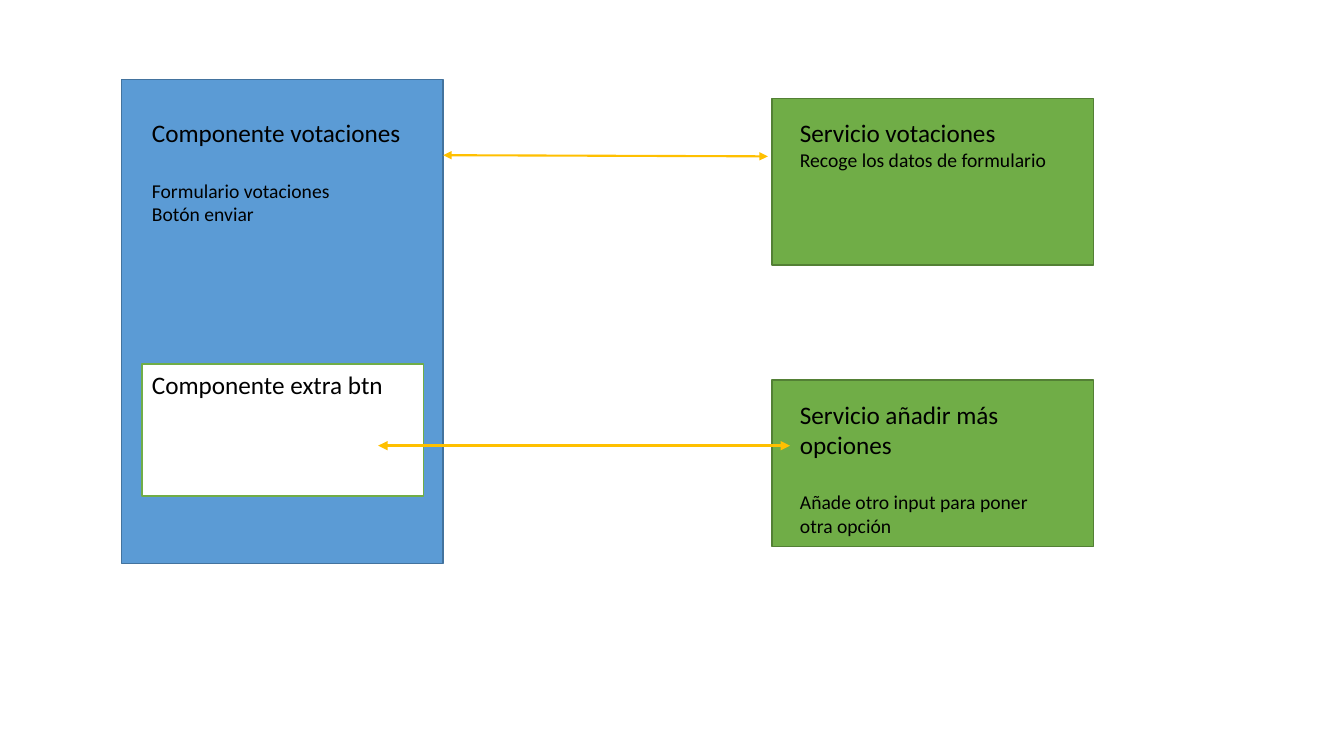
from dataclasses import dataclass

from lxml.etree import SubElement
from pptx import Presentation
from pptx.dml.color import RGBColor
from pptx.enum.shapes import MSO_CONNECTOR as Connector, MSO_SHAPE as Preset
from pptx.enum.text import MSO_ANCHOR as Anchor, PP_ALIGN as Align
from pptx.oxml.ns import qn
from pptx.slide import Slide
from pptx.text.text import TextFrame
from pptx.util import Cm, Pt

COLORS = {
    "blue": "5B9BD5",
    "blue_edge": "43739E",
    "green": "70AD47",
    "green_edge": "538035",
    "white": "FFFFFF",
    "black": "000000",
    "gold": "FFC000",
}
FONT = "Calibri"
TITLE_SIZE, DETAIL_SIZE = 18, 14
DETAIL_GAP = 22
COLUMN_WIDTH, TEXT_WIDTH = 8.1, 7.09
LEFT_TEXT, RIGHT_BOX, RIGHT_TEXT = 3.58, 19.46, 19.91
SERVICE_HEIGHT = 4.19


@dataclass(frozen=True)
class Area:
    left: float
    top: float
    width: float
    height: float

    def lengths(self) -> tuple[Cm, Cm, Cm, Cm]:
        return Cm(self.left), Cm(self.top), Cm(self.width), Cm(self.height)


@dataclass(frozen=True)
class Label:
    title: str
    details: tuple[str, ...] = ()
    gap: float = 0


@dataclass(frozen=True)
class Block:
    area: Area
    fill: str
    edge: str
    label: Label
    label_area: Area | None = None


@dataclass(frozen=True)
class Arrow:
    start: tuple[float, float]
    end: tuple[float, float]
    weight: float


BLOCKS = (
    Block(
        Area(3.07, 2.01, COLUMN_WIDTH, 12.19), "blue", "blue_edge",
        Label("Componente votaciones", ("Formulario votaciones", "Botón enviar"), DETAIL_GAP),
        Area(LEFT_TEXT, 2.84, TEXT_WIDTH, 3),
    ),
    Block(
        Area(LEFT_TEXT, 9.17, TEXT_WIDTH, 3.33), "white", "green",
        Label("Componente extra btn"),
    ),
    Block(
        Area(RIGHT_BOX, 2.49, COLUMN_WIDTH, SERVICE_HEIGHT), "green", "green_edge",
        Label("Servicio votaciones", ("Recoge los datos de formulario",)),
        Area(RIGHT_TEXT, 2.84, TEXT_WIDTH, 3.18),
    ),
    Block(
        Area(RIGHT_BOX, 9.58, COLUMN_WIDTH, SERVICE_HEIGHT), "green", "green_edge",
        Label(
            "Servicio añadir más opciones",
            ("Añade otro input para poner otra opción",),
            DETAIL_GAP,
        ),
        Area(RIGHT_TEXT, 9.93, TEXT_WIDTH, 5.31),
    ),
)
ARROWS = (
    Arrow((11.17, 3.91), (19.35, 3.94), 1.5),
    Arrow((9.53, 11.23), (RIGHT_TEXT, 11.23), 2.25),
)


def color(name: str) -> RGBColor:
    return RGBColor.from_string(COLORS[name])


def write_label(frame: TextFrame, label: Label) -> None:
    frame.word_wrap = True
    frame.vertical_anchor = Anchor.TOP
    for index, text in enumerate((label.title, *label.details)):
        para = frame.paragraphs[0] if index == 0 else frame.add_paragraph()
        para.text = text
        para.alignment = Align.LEFT
        para.space_before = Pt(label.gap if index == 1 else 0)
        para.font.name = FONT
        para.font.size = Pt(DETAIL_SIZE if index else TITLE_SIZE)
        para.font.color.rgb = color("black")


def draw_block(page: Slide, block: Block) -> None:
    box = page.shapes.add_shape(Preset.RECTANGLE, *block.area.lengths())
    box.shadow.inherit = False
    box.fill.solid()
    box.fill.fore_color.rgb = color(block.fill)
    box.line.color.rgb = color(block.edge)
    box.line.width = Pt(1)
    if block.label_area:
        box = page.shapes.add_textbox(*block.label_area.lengths())
    write_label(box.text_frame, block.label)


def draw_arrow(page: Slide, arrow: Arrow) -> None:
    points = (Cm(value) for value in (*arrow.start, *arrow.end))
    connector = page.shapes.add_connector(Connector.STRAIGHT, *points)
    connector.line.color.rgb = color("gold")
    connector.line.width = Pt(arrow.weight)
    outline = connector.line._get_or_add_ln()
    for end in ("a:headEnd", "a:tailEnd"):
        SubElement(outline, qn(end), type="triangle")
    SubElement(connector._element.spPr, qn("a:effectLst"))


def main() -> None:
    deck = Presentation()
    deck.slide_width, deck.slide_height = Cm(33.87), Cm(19.05)
    page = deck.slides.add_slide(deck.slide_layouts[6])
    for block in BLOCKS:
        draw_block(page, block)
    for arrow in ARROWS:
        draw_arrow(page, arrow)
    deck.save("out.pptx")


if __name__ == "__main__":
    main()
